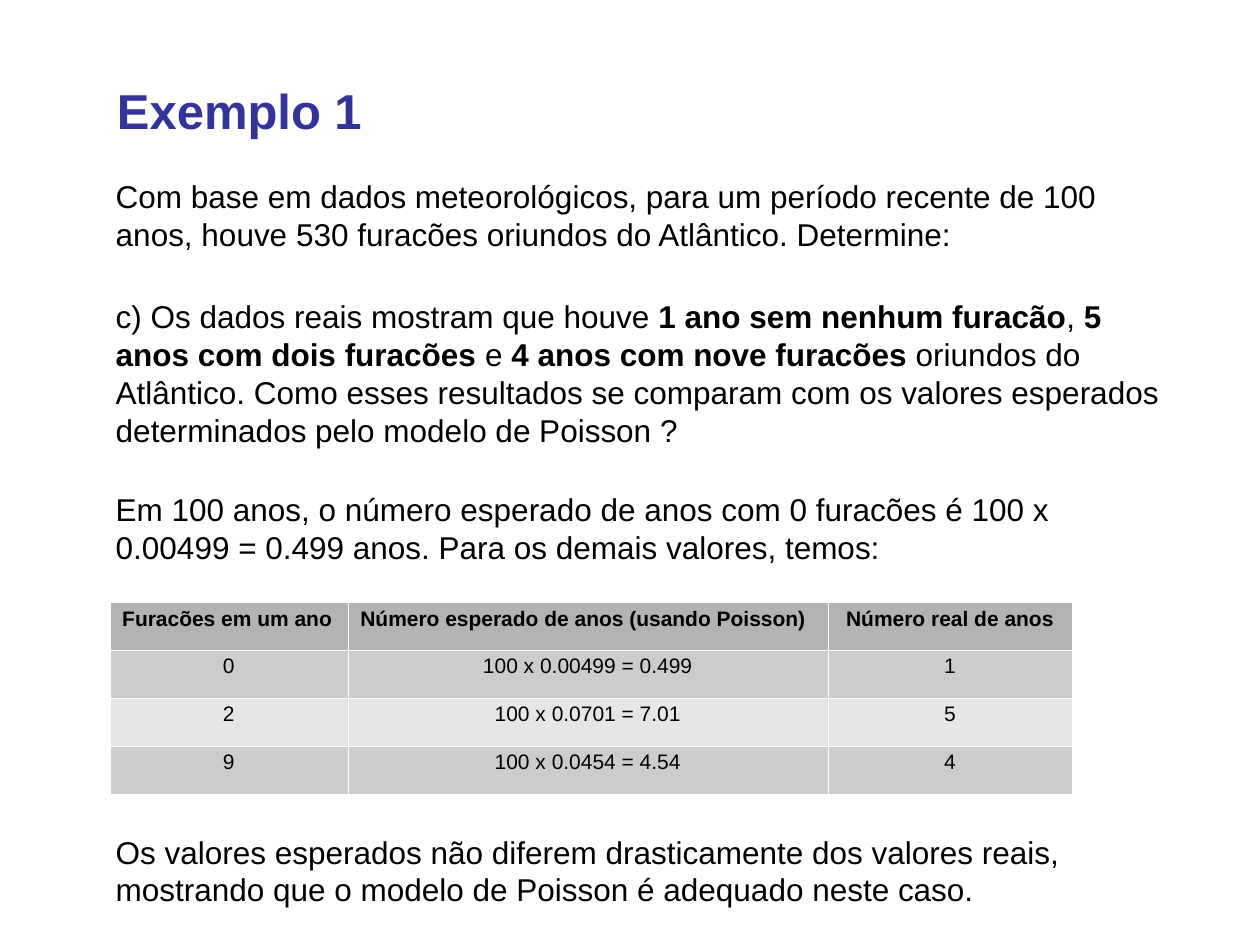
from dataclasses import dataclass

from lxml import etree
from pptx import Presentation
from pptx.dml.color import RGBColor
from pptx.enum import text
from pptx.oxml import ns
from pptx.util import Inches, Pt

COLORS = {
    "title": "333399",
    "body": "000000",
    "header": "B3B3B3",
    "dark_row": "CCCCCC",
    "light_row": "E6E6E6",
    "border": "FFFFFF",
}
FONT = "Arial"
LEFT = 0.82
WIDTH = 8.48


@dataclass
class Passage:
    top: float
    height: float
    phrases: list[str]


PASSAGES = [
    Passage(1.36, 0.84, [
        "Com base em dados meteorológicos, para um período recente de 100 anos, "
        "houve 530 furacões oriundos do Atlântico. Determine:",
    ]),
    Passage(2.31, 1.3, [
        "c) Os dados reais mostram que houve ",
        "1 ano sem nenhum furacão",
        ", ",
        "5 anos com dois furacões",
        " e ",
        "4 anos com nove furacões",
        " oriundos do Atlântico. Como esses resultados se comparam com os valores "
        "esperados determinados pelo modelo de Poisson ?",
    ]),
    Passage(3.84, 0.7, [
        "Em 100 anos, o número esperado de anos com 0 furacões é 100 x 0.00499 = "
        "0.499 anos. Para os demais valores, temos:",
    ]),
    Passage(6.56, 0.7, [
        "Os valores esperados não diferem drasticamente dos valores reais, "
        "mostrando que o modelo de Poisson é adequado neste caso.",
    ]),
]

TABLE_ROWS = [
    ("Furacões em um ano", "Número esperado de anos (usando Poisson)", "Número real de anos"),
    ("0", "100 x 0.00499 = 0.499", "1"),
    ("2", "100 x 0.0701 = 7.01", "5"),
    ("9", "100 x 0.0454 = 4.54", "4"),
]
ROW_FILLS = ["header", "dark_row", "light_row", "dark_row"]
COLUMN_WIDTHS = [1.89, 3.81, 1.94]
ROW_HEIGHT = 0.38


def format_run(run, size: float, color: str, bold: bool) -> None:
    run.font.name = FONT
    run.font.size = Pt(size)
    run.font.bold = bold
    run.font.color.rgb = RGBColor.from_string(COLORS[color])


def add_text_frame(slide, left: float, top: float, width: float, height: float):
    box = slide.shapes.add_textbox(Inches(left), Inches(top), Inches(width), Inches(height))
    box.text_frame.word_wrap = True
    return box.text_frame


def add_title(slide, title: str) -> None:
    frame = add_text_frame(slide, 0.83, 0.56, 8.51, 0.63)
    frame.vertical_anchor = text.MSO_ANCHOR.MIDDLE
    frame.text = title
    format_run(frame.paragraphs[0].runs[0], 28, "title", True)


def add_passage(slide, passage: Passage) -> None:
    frame = add_text_frame(slide, LEFT, passage.top, WIDTH, passage.height)
    paragraph = frame.paragraphs[0]
    for index, phrase in enumerate(passage.phrases):
        run = paragraph.add_run()
        run.text = phrase
        format_run(run, 18, "body", index % 2 == 1)


def set_borders(cell) -> None:
    properties = cell._tc.get_or_add_tcPr()
    for position, side in enumerate(("lnL", "lnR", "lnT", "lnB")):
        line = etree.Element(ns.qn(f"a:{side}"), w=str(Pt(0.06)))
        fill = etree.SubElement(line, ns.qn("a:solidFill"))
        etree.SubElement(fill, ns.qn("a:srgbClr"), val=COLORS["border"])
        properties.insert(position, line)


def fill_cell(cell, content: str, fill: str, bold: bool, centered: bool) -> None:
    cell.fill.solid()
    cell.fill.fore_color.rgb = RGBColor.from_string(COLORS[fill])
    set_borders(cell)
    cell.text_frame.text = content
    paragraph = cell.text_frame.paragraphs[0]
    paragraph.line_spacing = 0.93
    paragraph.alignment = text.PP_ALIGN.CENTER if centered else text.PP_ALIGN.LEFT
    format_run(paragraph.runs[0], 12, "body", bold)


def add_hurricane_table(slide) -> None:
    frame = slide.shapes.add_table(
        len(TABLE_ROWS), len(COLUMN_WIDTHS), Inches(0.87), Inches(4.78),
        Inches(sum(COLUMN_WIDTHS)), Inches(ROW_HEIGHT * len(TABLE_ROWS)),
    )
    table = frame.table
    for column, width in zip(table.columns, COLUMN_WIDTHS):
        column.width = Inches(width)
    for row_index, (values, fill) in enumerate(zip(TABLE_ROWS, ROW_FILLS)):
        table.rows[row_index].height = Inches(ROW_HEIGHT)
        is_header = row_index == 0
        for column_index, value in enumerate(values):
            centered = not is_header or column_index == 2
            fill_cell(table.cell(row_index, column_index), value, fill, is_header, centered)


def main() -> None:
    presentation = Presentation()
    presentation.slide_width = Inches(10)
    presentation.slide_height = Inches(7.5)
    slide = presentation.slides.add_slide(presentation.slide_layouts[6])
    add_title(slide, "Exemplo 1")
    for passage in PASSAGES:
        add_passage(slide, passage)
    add_hurricane_table(slide)
    presentation.save("out.pptx")


if __name__ == "__main__":
    main()
